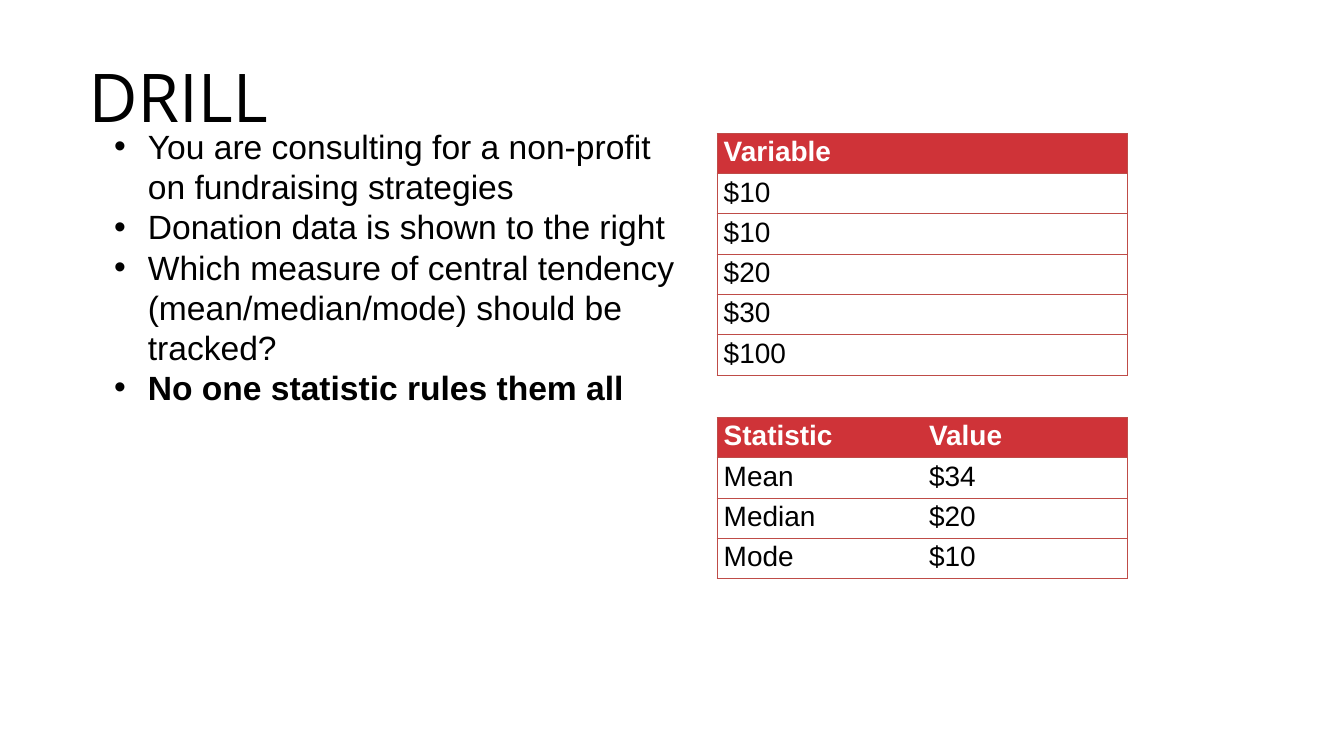
from dataclasses import dataclass

from lxml import etree
from pptx import Presentation
from pptx.dml.color import RGBColor
from pptx.enum.text import MSO_ANCHOR, MSO_AUTO_SIZE, PP_ALIGN
from pptx.oxml.ns import qn
from pptx.util import Inches, Pt

LEFT, TOP = PP_ALIGN.LEFT, MSO_ANCHOR.TOP
NO_AUTOFIT = MSO_AUTO_SIZE.NONE
TITLE_ONLY = 5

BLACK, WHITE = "000000", "FFFFFF"
HEADER_RED, BORDER_RED = "CF3338", "BF4C48"
BORDER_WIDTH = Pt(0.75)
ROW_HEIGHT = 0.6
TABLE_LEFT, TABLE_WIDTH = 10.67, 6.11


@dataclass
class DataTable:
    top: float
    rows: list[list[str]]


@dataclass
class Bullet:
    text: str
    bold: bool = False


TABLES = [
    DataTable(1.98, [["Variable"], ["$10"], ["$10"], ["$20"], ["$30"], ["$100"]]),
    DataTable(6.21, [["Statistic", "Value"], ["Mean", "$34"],
                     ["Median", "$20"], ["Mode", "$10"]]),
]

BULLETS = [
    Bullet("You are consulting for a non-profit on fundraising strategies"),
    Bullet("Donation data is shown to the right"),
    Bullet("Which measure of central tendency (mean/median/mode) should be tracked?"),
    Bullet("No one statistic rules them all", bold=True),
]


def color(value: str) -> RGBColor:
    return RGBColor.from_string(value)


def format_font(font, name: str, size: float, hex_color: str, bold: bool = False) -> None:
    font.name, font.size, font.bold = name, Pt(size), bold
    font.color.rgb = color(hex_color)


def prepare_frame(text_frame) -> None:
    """Top-anchored, wrapping text without insets."""
    text_frame.word_wrap = True
    text_frame.auto_size = NO_AUTOFIT
    text_frame.vertical_anchor = TOP
    text_frame.margin_left = text_frame.margin_right = 0
    text_frame.margin_top = text_frame.margin_bottom = 0


def add_title(slide, text: str) -> None:
    title = slide.shapes.title
    title.left, title.top = Inches(1.32), Inches(0.63)
    title.width, title.height = Inches(3.5), Inches(1.34)
    prepare_frame(title.text_frame)
    title.text_frame.text = text
    paragraph = title.text_frame.paragraphs[0]
    paragraph.alignment = LEFT
    paragraph.line_spacing = Pt(100.8)
    format_font(paragraph.runs[0].font, "Open Sans", 72, BLACK)


def add_bullets(slide, bullets: list[Bullet]) -> None:
    box = slide.shapes.add_textbox(Inches(1.32), Inches(1.88), Inches(9.01), Inches(3.64))
    text_frame = box.text_frame
    prepare_frame(text_frame)
    text_frame.text = "\n".join(bullet.text for bullet in bullets)
    for paragraph, bullet in zip(text_frame.paragraphs, bullets):
        paragraph.level = 1
        paragraph.line_spacing = Pt(43)
        properties = paragraph._p.get_or_add_pPr()
        properties.set("marL", str(Inches(0.88)))
        properties.set("indent", str(Inches(-0.5)))
        etree.SubElement(properties, qn("a:buFont"), typeface="Arial")
        etree.SubElement(properties, qn("a:buChar"), char="•")
        format_font(paragraph.runs[0].font, "Arial", 36, BLACK, bullet.bold)


def set_borders(cell, visible: dict[str, bool]) -> None:
    """Draw the visible sides; lines must come before the fill in the cell."""
    properties = cell._tc.get_or_add_tcPr()
    for index, (side, shown) in enumerate(visible.items()):
        line = etree.Element(qn(f"a:ln{side}"), w=str(BORDER_WIDTH))
        if shown:
            fill = etree.SubElement(line, qn("a:solidFill"))
            etree.SubElement(fill, qn("a:srgbClr"), val=BORDER_RED)
        else:
            etree.SubElement(line, qn("a:noFill"))
        properties.insert(index, line)


def add_data_table(slide, data: DataTable) -> None:
    row_count, column_count = len(data.rows), len(data.rows[0])
    table = slide.shapes.add_table(
        row_count, column_count, Inches(TABLE_LEFT), Inches(data.top),
        Inches(TABLE_WIDTH), Inches(ROW_HEIGHT * row_count)).table
    table.horz_banding = False
    for row_index, row in enumerate(data.rows):
        is_header = row_index == 0
        for column_index, text in enumerate(row):
            cell = table.cell(row_index, column_index)
            cell.text = text
            format_font(cell.text_frame.paragraphs[0].runs[0].font, "Arial", 30,
                        WHITE if is_header else BLACK, is_header)
            if is_header:
                cell.fill.solid()
                cell.fill.fore_color.rgb = color(HEADER_RED)
            else:
                cell.fill.background()
            set_borders(cell, {"L": column_index == 0,
                               "R": column_index == column_count - 1,
                               "T": True, "B": True})


def main() -> None:
    presentation = Presentation()
    presentation.slide_width, presentation.slide_height = Inches(20), Inches(11.25)
    slide = presentation.slides.add_slide(presentation.slide_layouts[TITLE_ONLY])

    # Title and discussion points
    add_title(slide, "DRILL")
    add_bullets(slide, BULLETS)

    # Donations and their statistics
    for data in TABLES:
        add_data_table(slide, data)

    presentation.save("out.pptx")


if __name__ == "__main__":
    main()
